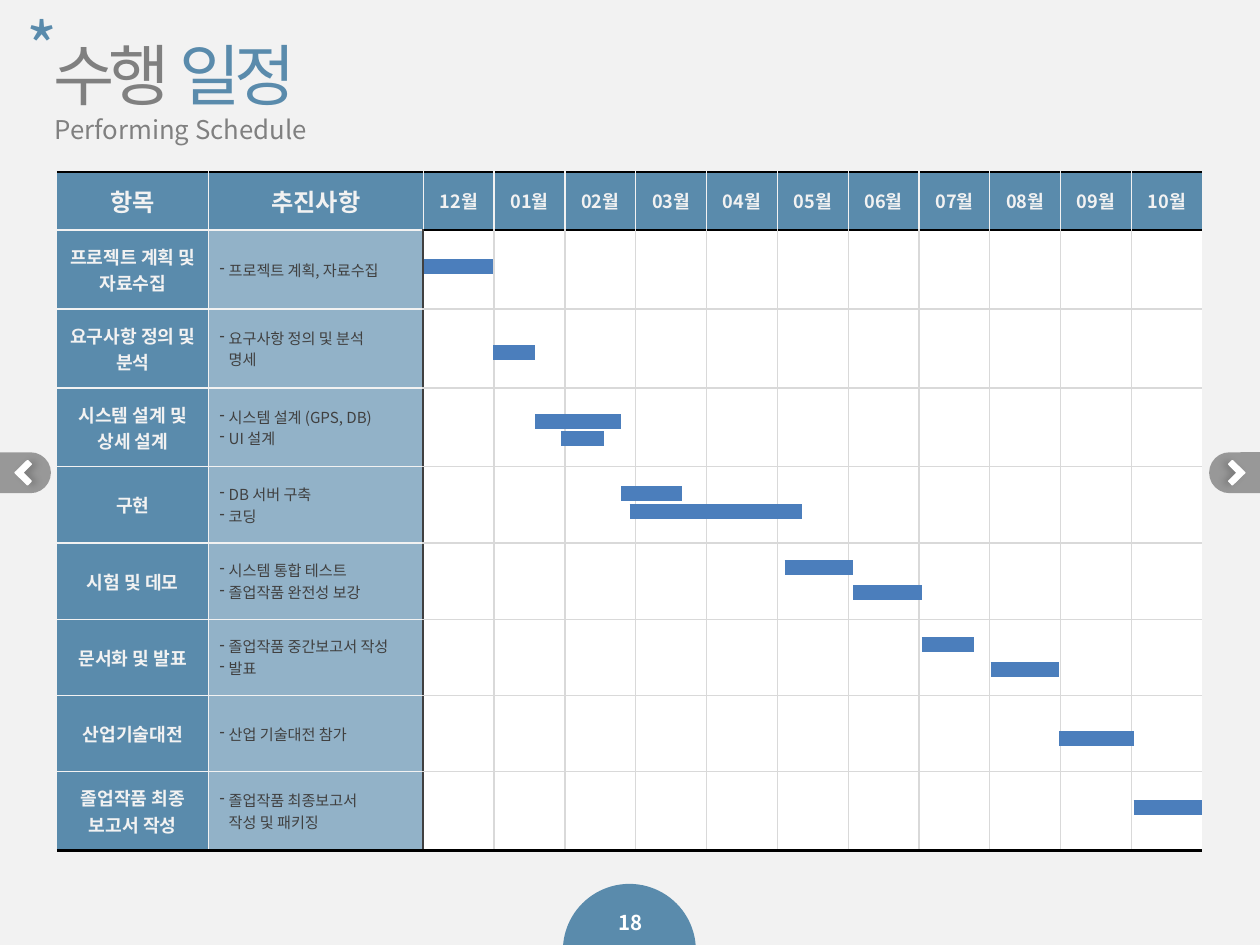
from dataclasses import dataclass

from lxml.etree import SubElement as Sub
from pptx import Presentation
from pptx.dml.color import RGBColor as Rgb
from pptx.enum.shapes import MSO_CONNECTOR as Link, MSO_SHAPE as Kind
from pptx.enum.text import MSO_ANCHOR as Anchor, PP_ALIGN as Align
from pptx.oxml.ns import qn
from pptx.util import Pt


@dataclass(frozen=True)
class Theme:
    face: str = "Noto Sans CJK KR"
    page: str = "F2F2F2"
    blue: str = "5A8BAC"
    light: str = "92B2C8"
    bar: str = "4B7EBC"
    gray: str = "808080"
    dark: str = "404040"
    grid: str = "D9D9D9"
    white: str = "FFFFFF"
    black: str = "000000"
    title: float = 44
    sub: float = 17
    head: float = 16
    label: float = 12
    note: float = 10
    num: float = 13.5


WIDE, HIGH = 831.6, 623.52
MONTHS = [f"{m:02}월" for m in (12, *range(1, 11))]
TASKS = [
    ("프로젝트 계획 및 자료수집", "프로젝트 계획, 자료수집"),
    ("요구사항 정의 및 분석", "요구사항 정의 및 분석\v명세"),
    ("시스템 설계 및 상세 설계", "시스템 설계 (GPS, DB)\nUI 설계"),
    ("구현", "DB 서버 구축\n코딩"),
    ("시험 및 데모", "시스템 통합 테스트\n졸업작품 완전성 보강"),
    ("문서화 및 발표", "졸업작품 중간보고서 작성\n발표"),
    ("산업기술대전", "산업 기술대전 참가"),
    ("졸업작품 최종\n보고서 작성", "졸업작품 최종보고서\v작성 및 패키징"),
]
COLS = [100.2, 141.6] + [46.75] * len(MONTHS)
ROWS = [38.3] + [52.1] * 3 + [50.3] * 4 + [52.1]
BARS = [
    (280, 325.4, 175.7), (325.4, 353.3, 232.6), (353.3, 410.2, 277.9),
    (370.6, 398.8, 289.4), (410.2, 450, 325.4), (415.6, 529.2, 337.5),
    (517.8, 563, 374.2), (563, 608.4, 391), (608.4, 643, 425.3),
    (653.8, 699.1, 442), (699.1, 748.2, 487.4), (748.2, 793.4, 532.8),
]


class Deck:
    """Draws styled elements on the current slide."""

    def __init__(self, theme):
        self.theme = theme
        self.file = Presentation()
        self.file.slide_width, self.file.slide_height = Pt(WIDE), Pt(HIGH)
        self.slide = self.file.slides.add_slide(self.file.slide_layouts[6])
        self.shapes = self.slide.shapes
        self.paint(self.slide.background.fill, theme.page)

    def paint(self, fill, color):
        fill.solid()
        fill.fore_color.rgb = Rgb.from_string(color)

    def put(self, frame, text, size, color, bold=False, align=Align.LEFT, gap=0):
        frame.text = text
        for para in frame.paragraphs:
            para.alignment = align
            font = para.font
            font.size, font.bold = Pt(size), bold
            font.color.rgb = Rgb.from_string(color)
            font.name = self.theme.face
            Sub(font._rPr, qn("a:ea"), typeface=self.theme.face)
            if gap:
                font._rPr.set("spc", str(gap * 100))

    def text(self, x, y, w, h, text, size, color, **style):
        frame = self.shapes.add_textbox(Pt(x), Pt(y), Pt(w), Pt(h)).text_frame
        frame.word_wrap = True
        frame.vertical_anchor = Anchor.MIDDLE
        frame.margin_left = frame.margin_right = 0
        frame.margin_top = frame.margin_bottom = 0
        self.put(frame, text, size, color, **style)
        return frame

    def title(self, x, y, w, h, first, last):
        frame = self.text(x, y, w, h, first, self.theme.title, self.theme.gray, gap=-4)
        run = frame.paragraphs[0].add_run()
        run.text = last
        run.font.color.rgb = Rgb.from_string(self.theme.blue)

    def shape(self, kind, x, y, w, h, color, adjust, turn=0):
        item = self.shapes.add_shape(kind, Pt(x), Pt(y), Pt(w), Pt(h))
        for i, value in enumerate(adjust):
            item.adjustments[i] = value
        item.rotation = turn
        item.shadow.inherit = False
        item.line.fill.background()
        self.paint(item.fill, color)
        return item

    def button(self, side):
        mid, y = WIDE / 2, 311.9
        x = mid + side * (mid - 16.8)
        tab = self.shape(Kind.ROUND_2_SAME_RECTANGLE, x - 13.5, y - 16.8, 27, 33.6,
                         self.theme.dark, (0.5, 0), -90 * side)
        tone = tab.fill._xPr.find(qn("a:solidFill"))[0]
        Sub(tone, qn("a:alpha"), val="50000")
        spots = [(10, 0), (18.2, -8), (20.6, -5.6), (15, 0), (20.6, 5.6), (18.2, 8)]
        spots = [(Pt(mid + side * (mid - dx)), Pt(y + dy)) for dx, dy in spots]
        pen = self.shapes.build_freeform(*spots[0])
        pen.add_line_segments(spots[1:])
        mark = pen.convert_to_shape()
        self.paint(mark.fill, self.theme.white)
        self.paint(mark.line.fill, self.theme.white)
        mark.line.width = Pt(1)
        mark.shadow.inherit = False
        glow = Sub(mark._element.spPr.find(qn("a:effectLst")), qn("a:outerShdw"),
                   blurRad=str(Pt(5)), dist=str(Pt(3)), dir="10800000" if side > 0 else "0")
        tone = Sub(glow, qn("a:srgbClr"), val=self.theme.black)
        Sub(tone, qn("a:alpha"), val="20000")

    def bar(self, x, end, y):
        line = self.shapes.add_connector(Link.STRAIGHT, Pt(x), Pt(y), Pt(end), Pt(y))
        self.paint(line.line.fill, self.theme.bar)
        line.line.width = Pt(10)
        Sub(line._element.spPr, qn("a:effectLst"))

    def bullet(self, para):
        prop = para._p.get_or_add_pPr()
        prop.set("marL", str(Pt(6)))
        prop.set("indent", str(Pt(-6)))
        mark = Sub(prop, qn("a:buChar"), char="-")
        prop.insert(0, mark)

    def upright(self, row, edge):
        if edge in (0, len(COLS)):
            return None
        if row == 0 or edge < 2:
            return self.theme.page, 1
        return (self.theme.dark, 1.5) if edge == 2 else (self.theme.grid, 1)

    def level(self, edge, col):
        if edge in (0, len(ROWS)) or edge == 1 and col > 1:
            return self.theme.black, 2
        return (self.theme.page if col < 2 else self.theme.grid), 1

    def frame(self, cell, row, col):
        prop = cell._tc.get_or_add_tcPr()
        edges = {"L": self.upright(row, col), "R": self.upright(row, col + 1),
                 "T": self.level(row, col), "B": self.level(row + 1, col)}
        for i, (side, edge) in enumerate(edges.items()):
            line = Sub(prop, qn(f"a:ln{side}"))
            prop.insert(i, line)
            if edge:
                line.set("w", str(Pt(edge[1])))
                Sub(Sub(line, qn("a:solidFill")), qn("a:srgbClr"), val=edge[0])
            else:
                Sub(line, qn("a:noFill"))

    def table(self, x, y, data):
        look = self.theme
        grid = self.shapes.add_table(len(ROWS), len(COLS), Pt(x), Pt(y),
                                     Pt(sum(COLS)), Pt(sum(ROWS))).table
        grid.first_row = grid.horz_banding = False
        for col, size in zip(grid.columns, COLS):
            col.width = Pt(size)
        for row, size in zip(grid.rows, ROWS):
            row.height = Pt(size)
        for r, line in enumerate(data):
            for c, text in enumerate(line):
                cell = grid.cell(r, c)
                cell.vertical_anchor = Anchor.MIDDLE
                note = r > 0 and c == 1
                tone = look.light if note else look.blue if r == 0 or c == 0 else look.white
                self.paint(cell.fill, tone)
                self.frame(cell, r, c)
                if note:
                    self.put(cell.text_frame, text, look.note, look.dark)
                    for para in cell.text_frame.paragraphs:
                        self.bullet(para)
                elif text:
                    size = look.head if r == 0 and c < 2 else look.label
                    self.put(cell.text_frame, text, size, look.page, True, Align.CENTER)


def main():
    look = Theme()
    deck = Deck(look)
    deck.shape(Kind.CHORD, 371.5, 583.2, 87.8, 87.8, look.blue, (110.57, 213.41))
    deck.text(396, 601.2, 40.3, 14.4, "18", look.num, look.white, bold=True, align=Align.CENTER)
    deck.title(35.3, 27.4, 519, 43.2, "수행 ", "일정")
    deck.text(36, 75.6, 518, 19.4, "Performing Schedule", look.sub, look.gray)
    deck.text(17.3, 11.5, 28.8, 37.4, "*", look.title, look.blue, gap=-4)
    for side in (-1, 1):
        deck.button(side)
    blank = [""] * len(MONTHS)
    deck.table(37.6, 113.5, [["항목", "추진사항", *MONTHS]] + [[*task, *blank] for task in TASKS])
    for bar in BARS:
        deck.bar(*bar)
    deck.file.save("out.pptx")


if __name__ == "__main__":
    main()
